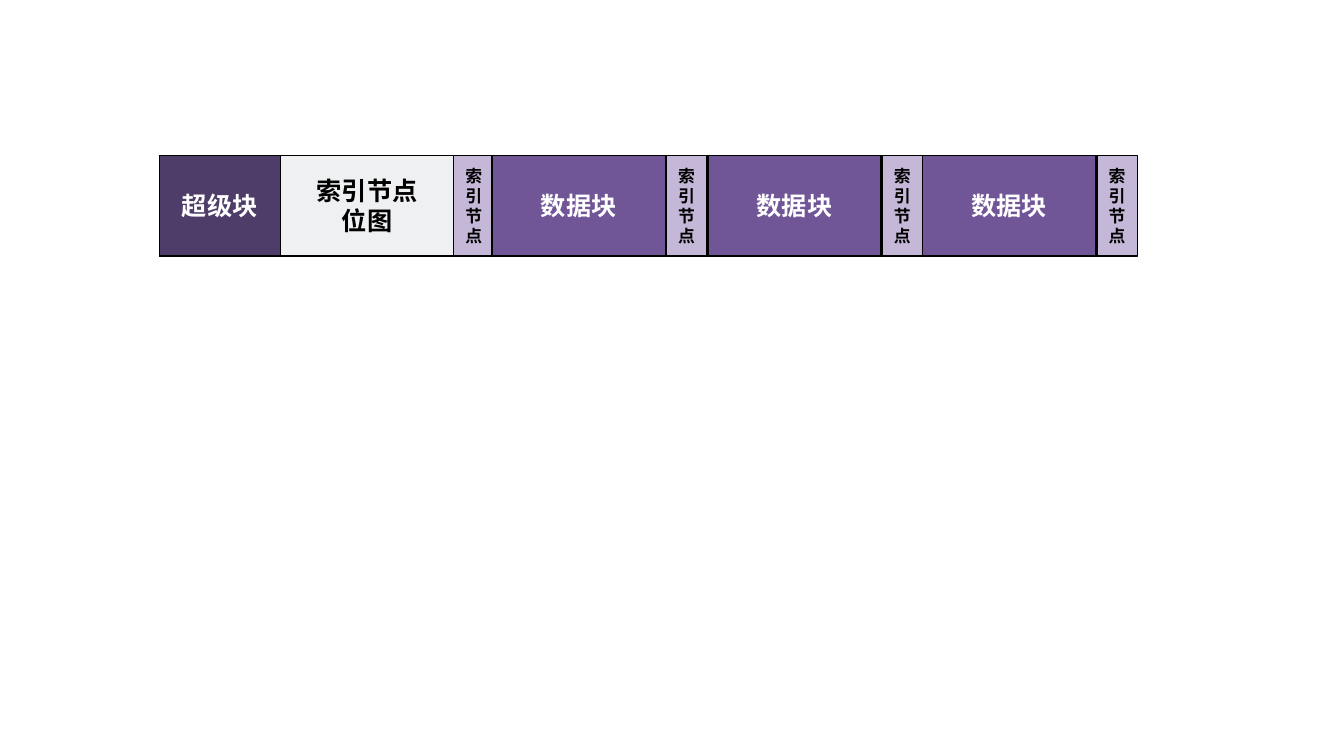
from pptx import Presentation
from pptx.dml.color import RGBColor
from pptx.enum.shapes import MSO_SHAPE
from pptx.enum.text import MSO_ANCHOR, PP_ALIGN
from pptx.util import Pt

RECT = MSO_SHAPE.RECTANGLE
MIDDLE = MSO_ANCHOR.MIDDLE
CENTER = PP_ALIGN.CENTER

PX = 9144
FONT = "Times New Roman"
BLACK, WHITE = "000000", "FFFFFF"
TOP, HEIGHT = 154, 100

KINDS = {
    "disk": ("", 969, "EFF0F1", BLACK, 18),
    "super": ("超级块", 120, "4E3C69", WHITE, 18),
    "inode": ("索引节点", 40, "C4B7D7", BLACK, 12),
    "data": ("数据块", 172, "705697", WHITE, 18),
    "bitmap": ("索引节点\n位图", 172, "EFF0F1", BLACK, 18),
}
BLOCKS = [
    ("disk", [158]),
    ("super", [158]),
    ("inode", [450, 661, 875]),
    ("data", [488, 702]),
    ("bitmap", [278]),
    ("data", [915]),
    ("inode", [1088]),
]


def color(code):
    return RGBColor.from_string(code)


def add_block(group, kind, left):
    text, width, fill, ink, size = KINDS[kind]
    block = group.shapes.add_shape(
        RECT, left * PX, TOP * PX, width * PX, HEIGHT * PX)
    block.shadow.inherit = False
    block.fill.solid()
    block.fill.fore_color.rgb = color(fill)
    block.line.color.rgb = color(BLACK)
    block.line.width = Pt(1)
    frame = block.text_frame
    frame.word_wrap = True
    frame.vertical_anchor = MIDDLE
    frame.text = text
    for para in frame.paragraphs:
        para.alignment = CENTER
        for run in para.runs:
            run.font.name = FONT
            run.font.size = Pt(size)
            run.font.bold = True
            run.font.color.rgb = color(ink)


deck = Presentation()
deck.slide_width = 1333 * PX
deck.slide_height = 750 * PX
slide = deck.slides.add_slide(deck.slide_layouts[6])
group = slide.shapes.add_group_shape()
for kind, lefts in BLOCKS:
    for left in lefts:
        add_block(group, kind, left)
deck.save("out.pptx")
